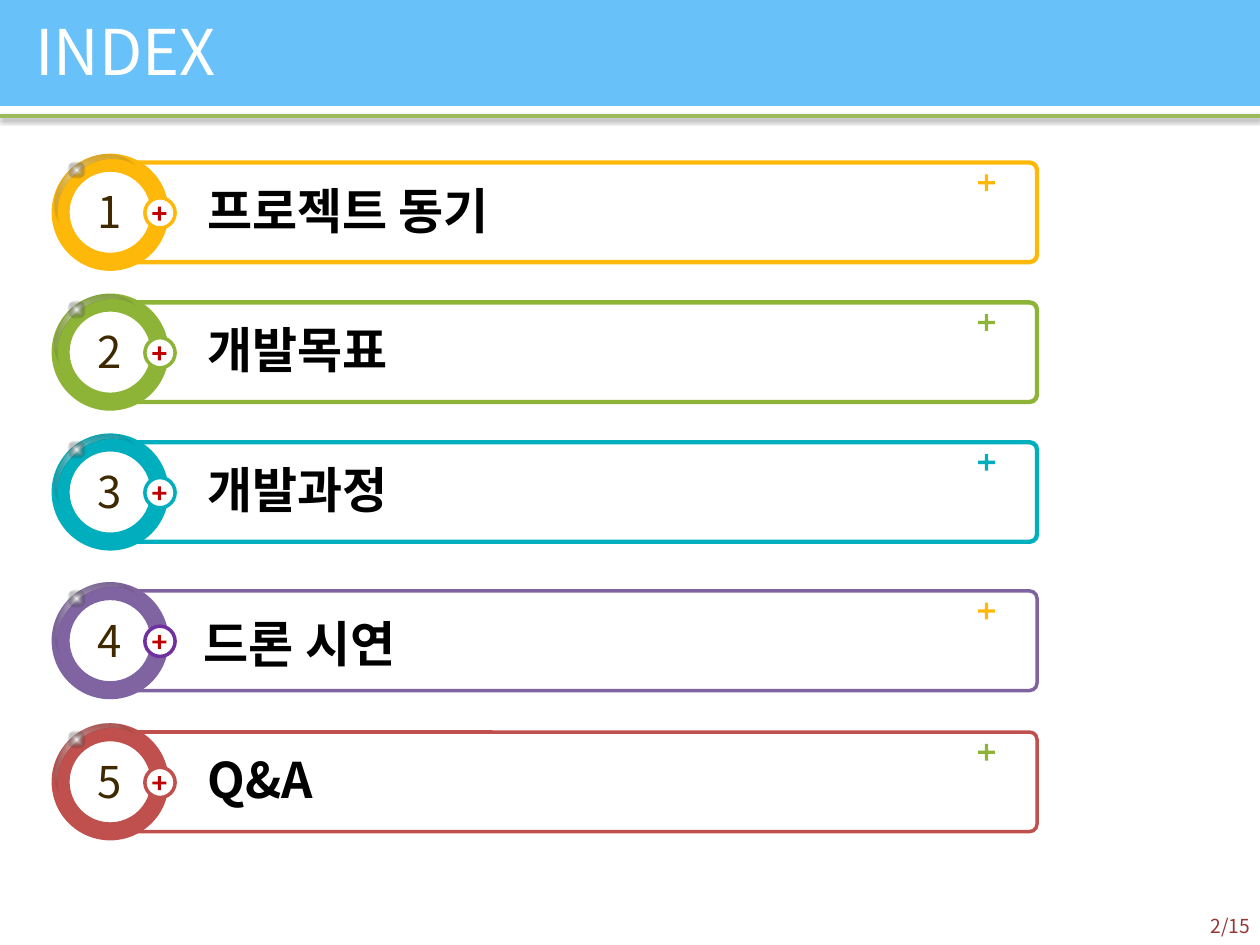
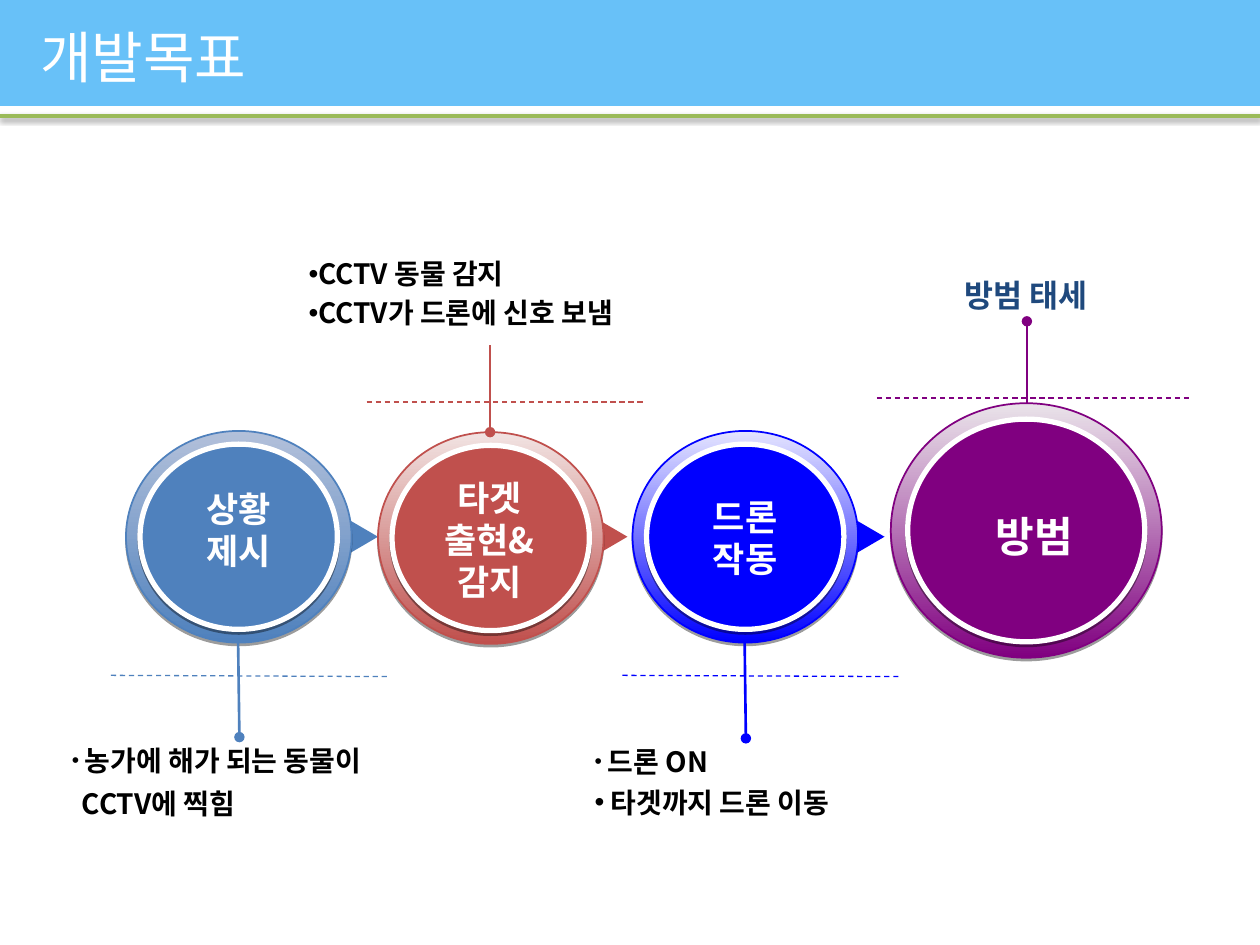
import lxml.etree
import pptx
import pptx.dml.color
import pptx.enum.dml
import pptx.enum.shapes
import pptx.enum.text
import pptx.oxml.ns
import pptx.util

RGBColor = pptx.dml.color.RGBColor
Shape = pptx.enum.shapes.MSO_SHAPE
Align = pptx.enum.text.PP_ALIGN
Pt = pptx.util.Pt
qn = pptx.oxml.ns.qn

WHITE = RGBColor(0xFF, 0xFF, 0xFF)
BLACK = RGBColor(0, 0, 0)
SKY = RGBColor(0x68, 0xC1, 0xF8)
LEAF = RGBColor(0x9B, 0xBB, 0x59)
GOLD = RGBColor(0xFE, 0xB8, 0x0A)
GREEN = RGBColor(0x8D, 0xB4, 0x36)
TEAL = RGBColor(0x00, 0xAE, 0xBD)
MAUVE = RGBColor(0x80, 0x64, 0xA2)
VIOLET = RGBColor(0x70, 0x30, 0xA0)
BRICK = RGBColor(0xC0, 0x50, 0x4D)
RED = RGBColor(0xC0, 0, 0)
BROWN = RGBColor(0x3F, 0x29, 0x00)
WINE = RGBColor(0x95, 0x37, 0x35)
STEEL = RGBColor(0x4F, 0x81, 0xBD)
BLUE = RGBColor(0, 0, 0xFF)
PURPLE = RGBColor(0x80, 0, 0x80)
NAVY = RGBColor(0x1F, 0x49, 0x7D)
PALE_STEEL = RGBColor(0xB2, 0xC0, 0xDA)
PALE_BRICK = RGBColor(0xF1, 0xE3, 0xE2)
PALE_BLUE = RGBColor(0xE4, 0xE4, 0xFF)
PALE_PLUM = RGBColor(0xEA, 0xE4, 0xEA)

FACE = "Noto Sans CJK KR"
GAP = (" ", 12, "Arial")
COLS, ROWS = 100, 75


def add(parent, tag, **attrs):
    values = {key: str(value) for key, value in attrs.items()}
    return lxml.etree.SubElement(parent, qn(tag), values)


class Deck:
    def __init__(self):
        self.show = pptx.Presentation()
        self.show.slide_width = pptx.util.Inches(10)
        self.show.slide_height = pptx.util.Inches(7.5)
        self.slide = None

    def col(self, count):
        return round(self.show.slide_width * count / COLS)

    def row(self, count):
        return round(self.show.slide_height * count / ROWS)

    def frame(self, box):
        left, top, width, height = box
        return self.col(left), self.row(top), self.col(width), self.row(height)

    def page(self, layout, title, box, size):
        first = self.slide is None
        self.slide = self.show.slides.add_slide(self.show.slide_layouts[layout])
        if first:
            self.brand()
        self.fit(self.slide.shapes.title, box)
        self.fill(self.slide.shapes.title, [[title]], size, WHITE)

    def brand(self):
        rule = self.line((0, 9.2), (100, 9.2), LEAF, 2)
        self.shade(rule, 3.1)
        band = self.shape(Shape.RECTANGLE, (0, 0, 100, 8.4), SKY)
        for item in (rule, band):
            self.show.slide_master.shapes.element.insert(2, item.element)

    def fit(self, holder, box):
        holder.left, holder.top, holder.width, holder.height = self.frame(box)

    def shape(self, kind, box, fill, edge=None, width=1, adjust=None, turn=0):
        item = self.slide.shapes.add_shape(kind, *self.frame(box))
        item.shadow.inherit = False
        item.rotation = turn
        if adjust is not None:
            item.adjustments[0] = adjust
        if fill is not None:
            item.fill.solid()
            item.fill.fore_color.rgb = fill
        if edge is None:
            item.line.fill.background()
        else:
            item.line.color.rgb = edge
            item.line.width = Pt(width)
        return item

    def blend(self, item, stops):
        item.fill.gradient()
        for stop, (place, color) in zip(item.fill.gradient_stops, stops):
            stop.position = place
            stop.color.rgb = color

    def gloss(self, kind, box, start, alpha, adjust=None, turn=0):
        item = self.shape(kind, box, None, adjust=adjust, turn=turn)
        self.blend(item, [(start, WHITE), (1, BLACK)])
        grad = item.element.spPr.find(qn("a:gradFill"))
        for color, share in zip(grad.iter(qn("a:srgbClr")), (alpha, 0)):
            add(color, "a:alpha", val=share * 1000)
        grad.remove(grad.find(qn("a:lin")))
        focus = add(grad, "a:path", path="shape")
        add(focus, "a:fillToRect", l=50000, t=50000, r=50000, b=50000)

    def shade(self, item, blur=0):
        effects = item.element.spPr.find(qn("a:effectLst"))
        cast = add(effects, "a:outerShdw", blurRad=Pt(blur), dist=Pt(1.6),
                   dir=5400000, rotWithShape=0)
        color = add(cast, "a:srgbClr", val=BLACK)
        add(color, "a:alpha", val=38000)

    def line(self, start, end, color, width, dash=False, dot=False):
        item = self.slide.shapes.add_connector(
            pptx.enum.shapes.MSO_CONNECTOR.STRAIGHT,
            self.col(start[0]), self.row(start[1]),
            self.col(end[0]), self.row(end[1]))
        item.line.color.rgb = color
        item.line.width = Pt(width)
        if dash:
            item.line.dash_style = pptx.enum.dml.MSO_LINE.DASH
        if dot:
            add(item.element.spPr.find(qn("a:ln")), "a:tailEnd", type="oval")
        add(item.element.spPr, "a:effectLst")
        return item

    def fill(self, holder, paras, size, color, bold=False, align=Align.LEFT,
             anchor=pptx.enum.text.MSO_ANCHOR.TOP):
        text = holder.text_frame
        text.word_wrap = True
        text.auto_size = pptx.enum.text.MSO_AUTO_SIZE.NONE
        text.vertical_anchor = anchor
        for index, words in enumerate(paras):
            para = text.add_paragraph() if index else text.paragraphs[0]
            para.alignment = align
            for word in words:
                part, points, face = word if isinstance(word, tuple) else (word, size, FACE)
                run = para.add_run()
                run.text = part
                run.font.size = Pt(points)
                run.font.bold = bold
                run.font.color.rgb = color
                run.font.name = face
                add(run.font._element, "a:ea", typeface=face)

    def text(self, box, paras, size, color, **style):
        holder = self.slide.shapes.add_textbox(*self.frame(box))
        self.fill(holder, paras, size, color, **style)

    def notes(self, slot, box, paras, bullet=True, pitch=1.0, space=4):
        holder = self.slide.placeholders[slot]
        self.fit(holder, box)
        self.fill(holder, paras, 16, BLACK, bold=True)
        for index, para in enumerate(holder.text_frame.paragraphs):
            para.line_spacing = pitch
            para.space_before = Pt(space if index else 0)
            props = para._p.get_or_add_pPr()
            props.set("marL", "0")
            props.set("indent", "0")
            if bullet:
                add(props, "a:buChar", char="•")
            else:
                add(props, "a:buNone")

    def entry(self, number, top, label, color, ring, plus, width, shift):
        self.shape(Shape.ROUNDED_RECTANGLE, (8.4, top, 73.9, 7.9), WHITE,
                   color, width, adjust=0.074)
        self.shape(Shape.MATH_PLUS, (77.4, top + 0.7, 1.8, 1.8), plus, adjust=0.145)
        self.shape(Shape.OVAL, (4.6, top - 0.2, 8.4, 8.4), WHITE)
        self.shape(Shape.DONUT, (4.1, top - 0.7, 9.3, 9.3), color, adjust=0.154)
        self.shape(Shape.OVAL, (11.5, top + 2.8, 2.4, 2.4), WHITE, ring, 2)
        self.shape(Shape.MATH_PLUS, (11.9, top + 3.3, 1.5, 1.5), RED, adjust=0.145)
        self.gloss(Shape.MOON, (5.4, top - 2.3, 3.1, 7.6), 0.1, 60, 0.153, 52.8)
        self.gloss(Shape.OVAL, (5.4, top - 0.1, 1.4, 1.4), 0, 100)
        self.text((6.6, top + 1.3, 4.2, 5.2), [[str(number)]], 25, BROWN,
                  align=Align.CENTER)
        self.text((15.5 + shift[0], top + 0.9 + shift[1], 62.5, 5.7), [[label]],
                  28, BLACK, bold=True)

    def stage(self, box, color, pale):
        left, top, width, height = box
        outer = self.shape(Shape.OVAL, box, None, color)
        self.blend(outer, [(0, pale), (1, color)])
        outer.fill.gradient_angle = 270
        share = 1 / 16
        inner = self.shape(
            Shape.OVAL, (left + width * share, top + height * share,
                         width * (1 - 2 * share), height * (1 - 2 * share)),
            color, WHITE, 3)
        for disc in (outer, inner):
            self.shade(disc)


def index(deck):
    deck.page(5, "INDEX", (1.8, 0.5, 44.1, 7.1), 36)
    entries = [
        (12.9, "프로젝트 동기", GOLD, GOLD, GOLD, 2.5, (0, 0)),
        (24, "개발목표", GREEN, GREEN, GREEN, 2.5, (0, 0)),
        (35.1, "개발과정", TEAL, TEAL, TEAL, 2.5, (0, 0)),
        (46.9, "드론 시연", MAUVE, VIOLET, GOLD, 2, (-0.3, 0.4)),
        (58.1, "Q&A", BRICK, BRICK, GREEN, 2, (0, 0)),
    ]
    for number, entry in enumerate(entries, 1):
        deck.entry(number, *entry)
    deck.text((94.1, 72.1, 6.1, 2.8), [["2/15"]], 11, WINE, align=Align.RIGHT,
              anchor=pptx.enum.text.MSO_ANCHOR.MIDDLE)


def goals(deck):
    deck.page(4, " 개발목표", (1.2, 1.3, 51.2, 6.4), 32)
    for left, color in ((26.1, STEEL), (45.9, BRICK), (66.3, BLUE)):
        deck.shape(Shape.ISOSCELES_TRIANGLE, (left, 40.8, 4.2, 3.6), color, turn=90)

    stages = [
        ((10, 34.2, 17.9, 16.8), STEEL, PALE_STEEL),
        ((50.2, 34.2, 17.9, 16.8), BLUE, PALE_BLUE),
        ((30, 34.3, 17.9, 16.8), BRICK, PALE_BRICK),
        ((70.7, 32, 21.5, 20.2), PURPLE, PALE_PLUM),
    ]
    for stage in stages:
        deck.stage(*stage)

    names = [
        ((12.3, 38.2, 13.3, 7.7), ["상황", "제시"], 20),
        ((52.5, 38.8, 13.3, 7.7), ["드론", "작동"], 20),
        ((32.2, 37.3, 13.3, 11.1), ["타겟", "출현&", "감지"], 20),
        ((72.4, 40, 19.4, 5), ["방범"], 24),
    ]
    for box, words, size in names:
        deck.text(box, [[word] for word in words], size, WHITE, bold=True,
                  align=Align.CENTER)

    stems = [
        ((18.9, 51), (19, 58.5), STEEL),
        ((59.1, 51), (59.2, 58.6), BLUE),
        ((38.9, 27.4), (38.9, 34.3), BRICK),
        ((81.5, 32), (81.5, 25.5), PURPLE),
    ]
    for start, end, color in stems:
        deck.line(start, end, color, 1.5, dot=True)

    dashes = [
        ((8.8, 53.6), (30.8, 53.7), STEEL),
        ((49.4, 53.6), (71.4, 53.7), BLUE),
        ((29.1, 31.9), (51.1, 31.9), BRICK),
        ((69.6, 31.6), (94.5, 31.6), PURPLE),
    ]
    for start, end, color in dashes:
        deck.line(start, end, color, 0.75, dash=True)

    deck.notes(1, (4.7, 58.5, 28.7, 3.7), [[GAP, "농가에 해가 되는 동물이"]])
    deck.notes(2, (5.5, 61.9, 28.7, 3.7), [["CCTV에 찍힘"]], bullet=False)
    deck.notes(3, (46.2, 58.6, 26, 7.7), [[GAP, "드론 ON"], [" 타겟까지 드론 이동"]])
    deck.notes(4, (23.5, 20.2, 30.9, 7.2),
               [["CCTV 동물 감지"], ["CCTV가 드론에 신호 보냄"]], pitch=0.9, space=5)
    deck.text((67.9, 21.4, 27.1, 4), [["방범 태세"]], 18, NAVY, bold=True,
              align=Align.CENTER)


def main():
    deck = Deck()
    index(deck)
    goals(deck)
    deck.show.save("out.pptx")


if __name__ == "__main__":
    main()
